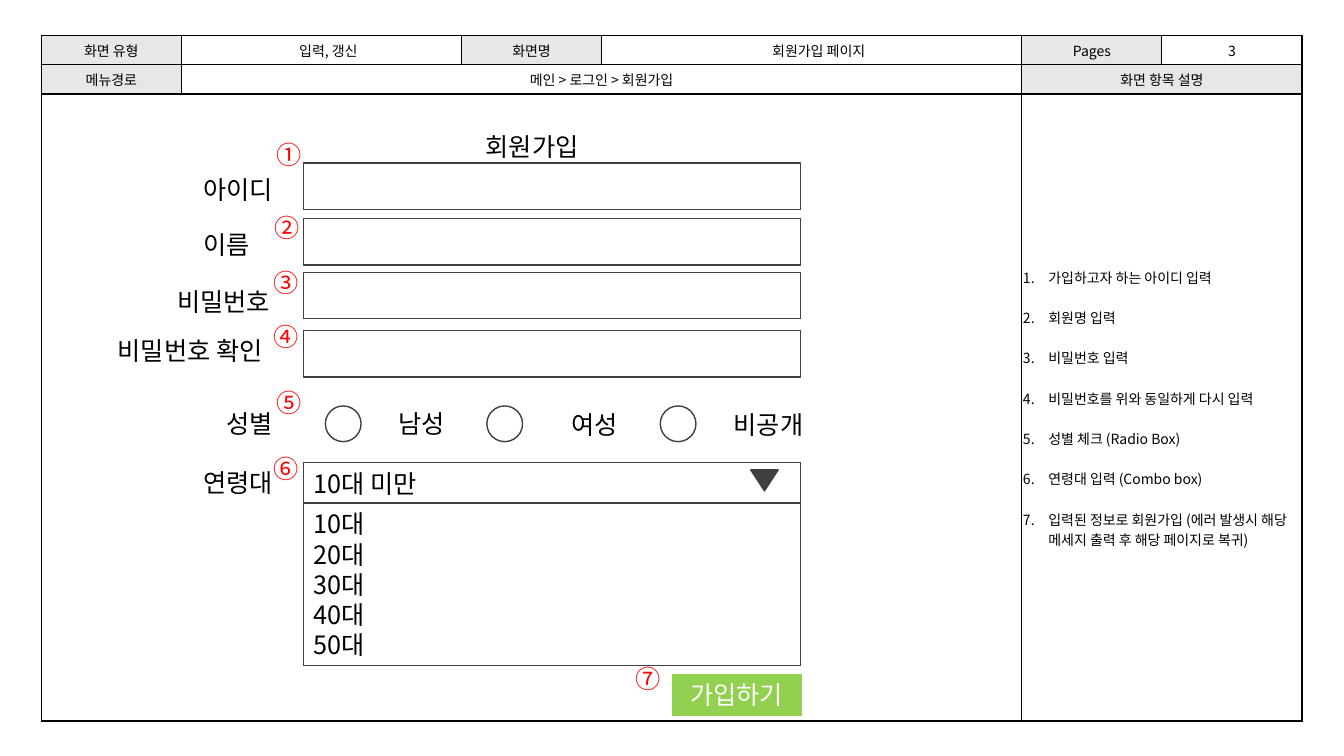
"""Builds the sign-up page of a screen design document."""
from lxml import etree
from pptx import Presentation
from pptx.dml.color import RGBColor
from pptx.enum.shapes import MSO_SHAPE
from pptx.enum.text import MSO_ANCHOR, MSO_AUTO_SIZE, PP_ALIGN
from pptx.oxml.ns import qn
from pptx.util import Cm, Pt

RECT, OVAL, TRIANGLE = MSO_SHAPE.RECTANGLE, MSO_SHAPE.OVAL, MSO_SHAPE.ISOSCELES_TRIANGLE
LEFT, CENTER, MIDDLE = PP_ALIGN.LEFT, PP_ALIGN.CENTER, MSO_ANCHOR.MIDDLE
GROW = MSO_AUTO_SIZE.SHAPE_TO_FIT_TEXT
FONT = "Noto Sans CJK KR"
COLORS = {"ink": "000000", "header": "E7E7E7", "paper": "FFFFFF",
          "outline": "404040", "marker": "FF0000", "button": "92D050"}

HEADER = [
    (0, 0, 1, "화면 유형", "header"), (0, 1, 1, "\u3000입력, 갱신", "paper"),
    (0, 2, 1, "화면명", "header"), (0, 3, 1, "\u3000회원가입 페이지", "paper"),
    (0, 4, 1, "Pages", "header"), (0, 5, 1, "3", "paper"),
    (1, 0, 1, "메뉴경로", "header"), (1, 1, 3, "메인 > 로그인 > 회원가입", "paper"),
    (1, 4, 2, "화면 항목 설명", "header"),
]
NOTES = ["가입하고자 하는 아이디 입력", "회원명 입력", "비밀번호 입력",
         "비밀번호를 위와 동일하게 다시 입력", "성별 체크 (Radio Box)",
         "연령대 입력 (Combo box)",
         "입력된 정보로 회원가입 (에러 발생시 해당 메세지 출력 후 해당 페이지로 복귀)"]
LABELS = [
    ("회원가입", 11.99, 3.18), ("아이디", 4.88, 4.27), ("이름", 4.88, 5.66),
    ("비밀번호", 4.22, 7.09), ("비밀번호 확인", 2.72, 8.33), ("성별", 5.46, 10.16),
    ("남성", 9.8, 10.16), ("여성", 14.15, 10.19), ("비공개", 18.24, 10.19),
    ("연령대", 4.88, 11.66),
]
MARKERS = [("①", 6.73, 3.38), ("②", 6.68, 5.23), ("③", 6.65, 6.6), ("④", 6.65, 7.98),
           ("⑤", 6.73, 9.63), ("⑥", 6.65, 11.3), ("⑦", 15.77, 16.59)]
FIELD_TOPS = [4.11, 5.51, 6.86, 8.33]
RADIO_LEFTS = [8.2, 12.27, 16.64]
AGES = ["10대", "20대", "30대", "40대", "50대"]
COLUMN_UNITS = [1, 2, 1, 3, 1, 1]
ROW_HEIGHTS = [0.74, 0.74, 15.8]
UNIT = 3.53
FIELD_LEFT, FIELD_WIDTH = 7.65, 12.52


def rgb(name):
    return RGBColor.from_string(COLORS[name])


def write(frame, lines, size, color="ink", align=LEFT):
    frame.text = "\n".join(lines)
    for paragraph in frame.paragraphs:
        paragraph.alignment = align
        for run in paragraph.runs:
            run.font.size = Pt(size)
            run.font.color.rgb = rgb(color)
            run.font.name = FONT
            etree.SubElement(run.font._element, qn("a:ea"), typeface=FONT)


def write_form(frame, lines, color="ink", align=LEFT):
    write(frame, lines, 18, color, align)
    for paragraph in frame.paragraphs:
        paragraph.line_spacing = Pt(21.6)


def add_part(kind, left, top, width, height, weight=1, fill=None, line="outline"):
    part = slide.shapes.add_shape(kind, Cm(left), Cm(top), Cm(width), Cm(height))
    part.shadow.inherit = False
    if fill:
        part.fill.solid()
        part.fill.fore_color.rgb = rgb(fill)
    else:
        part.fill.background()
    part.line.color.rgb = rgb(line)
    part.line.width = Pt(weight)
    return part


def add_label(text, left, top, color="ink"):
    width = 0.5 + 0.64 * (len(text) - 0.64 * text.count(" "))
    label = slide.shapes.add_textbox(Cm(left), Cm(top), Cm(width), Cm(1.02))
    label.text_frame.word_wrap = False
    label.text_frame.auto_size = GROW
    write_form(label.text_frame, [text], color)


def style_cell(cell):
    cell.margin_left = cell.margin_right = cell.margin_top = Cm(0.03)
    cell.margin_bottom = 0
    cell.vertical_anchor = MIDDLE
    cell.fill.solid()
    cell.fill.fore_color.rgb = rgb("paper")
    properties = cell._tc.get_or_add_tcPr()
    for position, side in enumerate(("a:lnL", "a:lnR", "a:lnT", "a:lnB")):
        border = etree.Element(qn(side), w=str(Pt(1)))
        ink = etree.SubElement(border, qn("a:solidFill"))
        etree.SubElement(ink, qn("a:srgbClr"), val=COLORS["ink"])
        properties.insert(position, border)


prs = Presentation()
prs.slide_width, prs.slide_height = Cm(33.87), Cm(19.05)
slide = prs.slides.add_slide(prs.slide_layouts[6])

sheet = slide.shapes.add_table(3, 6, Cm(1.04), Cm(0.89), Cm(UNIT * sum(COLUMN_UNITS)),
                               Cm(sum(ROW_HEIGHTS))).table
for column, units in zip(sheet.columns, COLUMN_UNITS):
    column.width = Cm(UNIT * units)
for row, height in zip(sheet.rows, ROW_HEIGHTS):
    row.height = Cm(height)
for cell in sheet.iter_cells():
    style_cell(cell)
for row, column, span, text, fill in HEADER:
    cell = sheet.cell(row, column)
    if span > 1:
        cell.merge(sheet.cell(row, column + span - 1))
    write(cell.text_frame, [text], 10, align=CENTER)
    cell.fill.fore_color.rgb = rgb(fill)
sheet.cell(2, 0).merge(sheet.cell(2, 3))
description = sheet.cell(2, 4)
description.merge(sheet.cell(2, 5))
write(description.text_frame, NOTES, 10)
for index, note in enumerate(description.text_frame.paragraphs):
    note.space_before = Pt(14.4 if index else 0)
    numbering = note._p.get_or_add_pPr()
    numbering.set("marL", str(Cm(0.64)))
    numbering.set("indent", str(Cm(-0.64)))
    etree.SubElement(numbering, qn("a:buFont"), typeface="+mj-lt")
    etree.SubElement(numbering, qn("a:buAutoNum"), type="arabicPeriod")

for top in FIELD_TOPS:
    add_part(RECT, FIELD_LEFT, top, FIELD_WIDTH, 1.17)
for left in RADIO_LEFTS:
    add_part(OVAL, left, 10.23, 0.9, 0.9)

age_list = add_part(RECT, FIELD_LEFT, 12.67, FIELD_WIDTH, 4.11, 0.75)
write_form(age_list.text_frame, AGES)
age_choice = add_part(RECT, FIELD_LEFT, 11.66, FIELD_WIDTH, 1.02, 0.75)
write_form(age_choice.text_frame, ["10대 미만"])
add_part(TRIANGLE, 18.92, 11.84, 0.69, 0.53, fill="outline").rotation = 180
join_button = add_part(RECT, 16.94, 16.99, 3.25, 1.04, 0.75, "button", "button")
write_form(join_button.text_frame, ["가입하기"], "paper", CENTER)

for text, left, top in LABELS:
    add_label(text, left, top)
for text, left, top in MARKERS:
    add_label(text, left, top, "marker")

prs.save("out.pptx")
